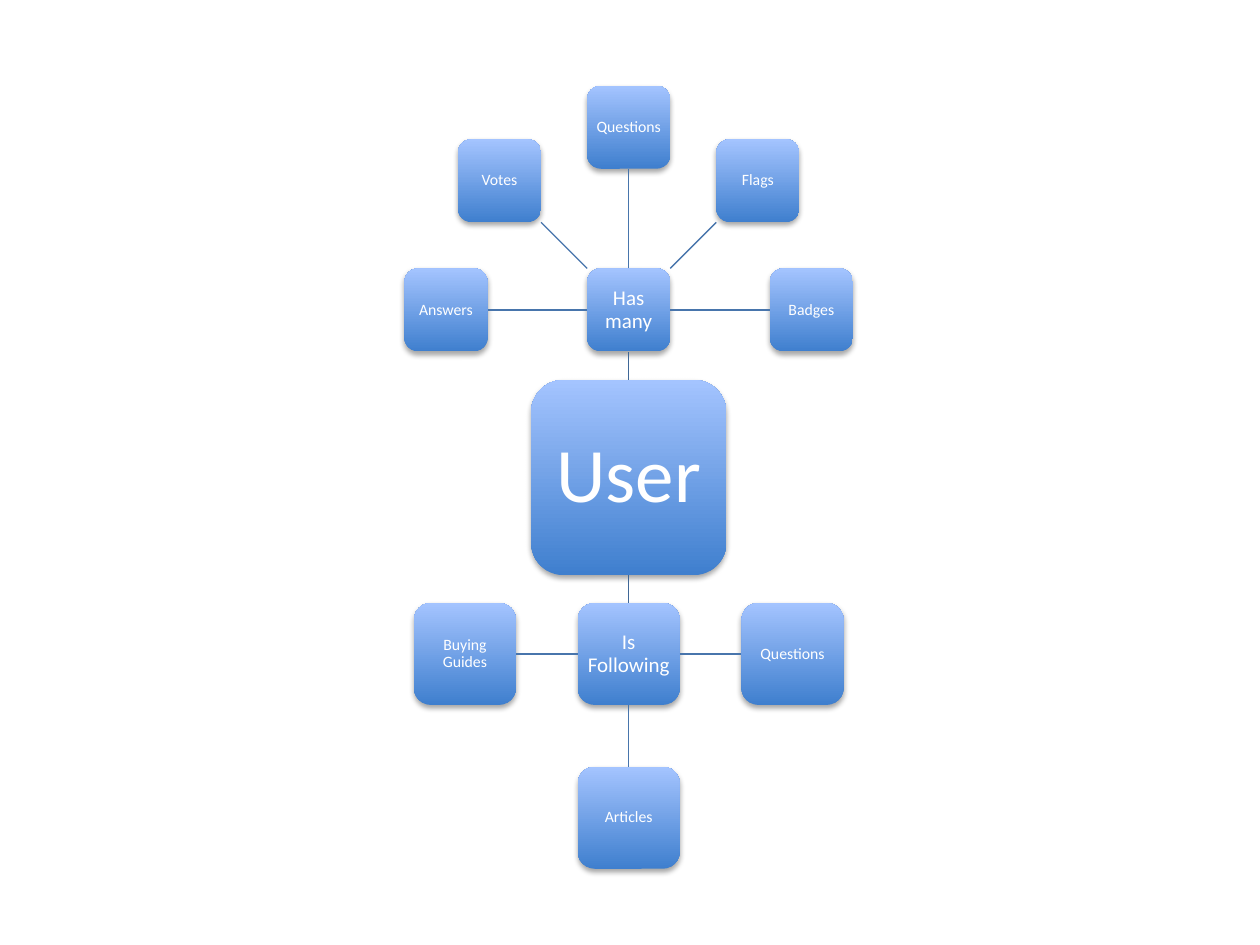
from math import cos, sin, radians
from lxml import etree
from pptx import Presentation, util as u
from pptx.dml.color import RGBColor
from pptx.enum import shapes, text
from pptx.oxml import parse_xml
from pptx.oxml.ns import nsdecls

HUE = {"low": "3F7FCE", "high": "A4C4FF", "trunk": "3F6797",
       "spoke": "4875AC", "text": "FFFFFF", "shade": "000000"}
TOP, LEFT, BOTTOM, RIGHT = range(4)

deck = Presentation()
deck.slide_width, deck.slide_height = u.Inches(10), u.Inches(7.5)
slide = deck.slides.add_slide(deck.slide_layouts[6])


def node(label, x, y, side, size, inset=0.03):
    """Add a rounded square centred on x, y."""
    box = slide.shapes.add_shape(
        shapes.MSO_SHAPE.ROUNDED_RECTANGLE,
        *[u.Inches(n) for n in (x - side / 2, y - side / 2, side, side)])
    box.fill.gradient()
    box.fill.gradient_angle = 90
    for stop, hue in zip(box.fill.gradient_stops, ("low", "high")):
        stop.color.rgb = RGBColor.from_string(HUE[hue])
    box.line.fill.background()

    # Soft shadow below
    box.shadow.inherit = False
    box._element.spPr.find("{*}effectLst").append(parse_xml(
        f'<a:outerShdw {nsdecls("a")} blurRad="40000" dist="23000" '
        f'dir="5400000" rotWithShape="0"><a:srgbClr val="{HUE["shade"]}">'
        '<a:alpha val="35000"/></a:srgbClr></a:outerShdw>'))

    frame = box.text_frame
    frame.word_wrap = True
    frame.vertical_anchor = text.MSO_ANCHOR.MIDDLE
    frame.margin_left = frame.margin_right = u.Inches(inset)
    frame.margin_top = frame.margin_bottom = u.Inches(inset)
    para = frame.paragraphs[0]
    para.text = label
    para.alignment = text.PP_ALIGN.CENTER
    para.line_spacing = 0.9
    para.font.name, para.font.size = "Calibri", u.Pt(size)
    para.font.color.rgb = RGBColor.from_string(HUE["text"])
    return box


def link(start, end, hue, dx, dy):
    """Join two boxes; dx and dy give the direction as -1, 0 or 1."""
    ends = []
    for box, sign in ((start, 1), (end, -1)):
        ends += [box.left + box.width * (1 + sign * dx) // 2,
                 box.top + box.height * (1 + sign * dy) // 2]
    line = slide.shapes.add_connector(shapes.MSO_CONNECTOR.STRAIGHT, *ends)
    sites = {(0, -1): (TOP, BOTTOM), (0, 1): (BOTTOM, TOP),
             (-1, 0): (LEFT, RIGHT), (1, 0): (RIGHT, LEFT)}
    if (dx, dy) in sites:
        out, into = sites[dx, dy]
        line.begin_connect(start, out)
        line.end_connect(end, into)
    line.line.color.rgb = RGBColor.from_string(HUE[hue])
    line.line.width = u.Pt(0.75)
    etree.SubElement(line._element.spPr, "{%s}effectLst" % line._element.nsmap["a"])


# Centre of the map
MID = 4.99
user = node("User", MID, 3.79, 1.55, 44, 0.12)

# Hubs: label, centre height, box side, spoke length, side of the user, leaves by angle
hubs = [
    ("Has many", 2.46, 0.66, 1.45, -1,
     {"Answers": 180, "Votes": 225, "Questions": 270, "Flags": 315, "Badges": 0}),
    ("Is Following", 5.19, 0.81, 1.3, 1,
     {"Questions": 0, "Articles": 90, "Buying Guides": 180}),
]
for label, y, side, reach, way, leaves in hubs:
    hub = node(label, MID, y, side, 12)
    link(user, hub, "trunk", 0, way)
    for name, angle in leaves.items():
        dx, dy = cos(radians(angle)), sin(radians(angle))
        leaf = node(name, MID + reach * dx, y + reach * dy, side, 9)
        link(hub, leaf, "spoke", round(dx), round(dy))

deck.save("out.pptx")
